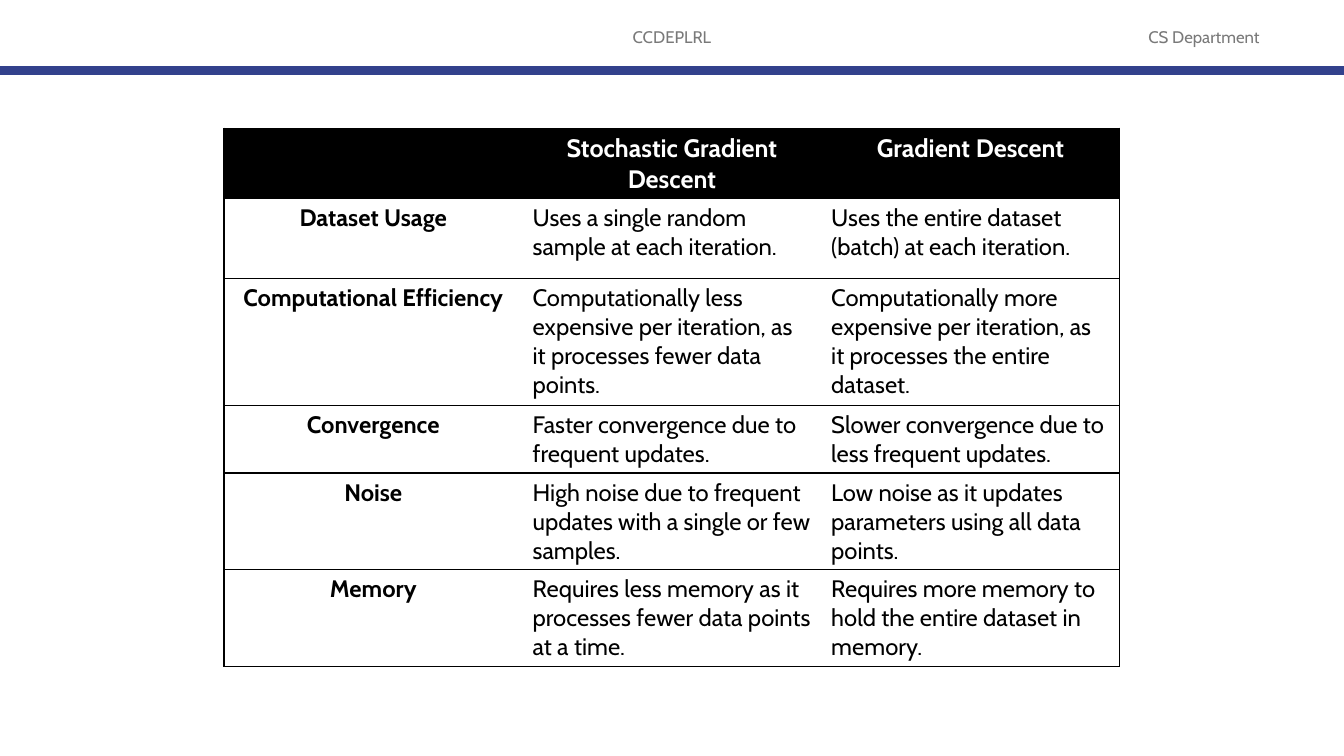
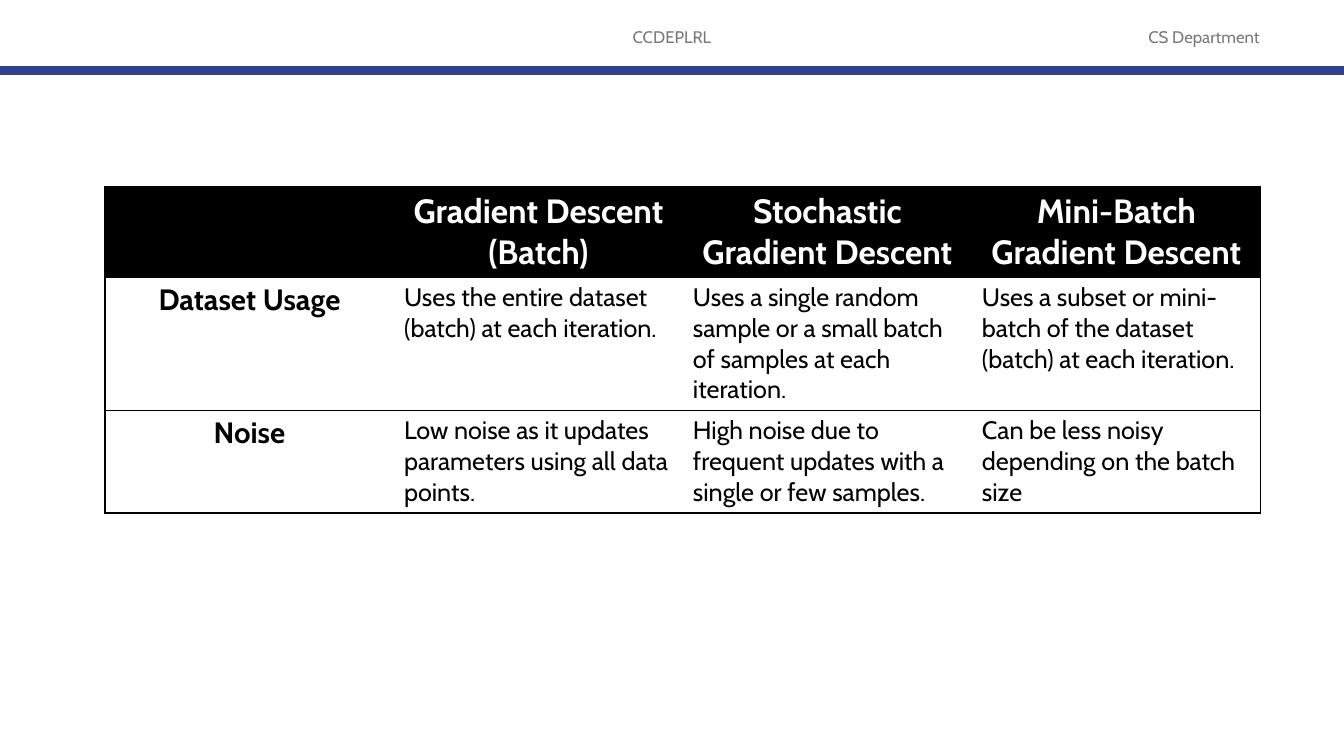
from lxml import etree
from pptx import Presentation
from pptx.dml.color import RGBColor
from pptx.enum.shapes import MSO_CONNECTOR
from pptx.enum.text import MSO_ANCHOR, PP_ALIGN
from pptx.oxml.ns import qn
from pptx.util import Pt

STRAIGHT = MSO_CONNECTOR.STRAIGHT
MIDDLE = MSO_ANCHOR.MIDDLE
CENTER, LEFT = PP_ALIGN.CENTER, PP_ALIGN.LEFT

FONT = "Cabin"
BLACK, WHITE, GRAY, BLUE = "000000", "FFFFFF", "797979", "32418C"
PAGE_WIDTH, PAGE_HEIGHT = 960, 540
RULE_TOP = 50.5

HEADINGS = [
    ("CCDEPLRL", 318, 324),
    ("CS Department", 786, 148),
]

TABLES = [
    {
        "left": 160, "top": 91.5, "column_width": 213.3,
        "row_heights": [50.5, 57, 90.5, 48.5, 69, 69],
        "header_size": 18, "label_size": 17, "body_size": 17,
        "rows": [
            ["", "Stochastic Gradient Descent", "Gradient Descent"],
            ["Dataset Usage",
             "Uses a single random sample at each iteration.",
             "Uses the entire dataset (batch) at each iteration."],
            ["Computational Efficiency",
             "Computationally less expensive per iteration, as it processes fewer data points.",
             "Computationally more expensive per iteration, as it processes the entire dataset."],
            ["Convergence",
             "Faster convergence due to frequent updates.",
             "Slower convergence due to less frequent updates."],
            ["Noise",
             "High noise due to frequent updates with a single or few samples.",
             "Low noise as it updates parameters using all data points."],
            ["Memory",
             "Requires less memory as it processes fewer data points at a time.",
             "Requires more memory to hold the entire dataset in memory."],
        ],
    },
    {
        "left": 75, "top": 133, "column_width": 206.4,
        "row_heights": [65, 95, 73.5],
        "header_size": 24, "label_size": 21, "body_size": 18,
        "rows": [
            ["", "Gradient Descent (Batch)", "Stochastic Gradient Descent",
             "Mini-Batch Gradient Descent"],
            ["Dataset Usage",
             "Uses the entire dataset (batch) at each iteration.",
             "Uses a single random sample or a small batch of samples at each iteration.",
             "Uses a subset or mini-batch of the dataset (batch) at each iteration."],
            ["Noise",
             "Low noise as it updates parameters using all data points.",
             "High noise due to frequent updates with a single or few samples.",
             "Can be less noisy depending on the batch size"],
        ],
    },
]


def color(value):
    return RGBColor.from_string(value)


def write(frame, text, size, ink, align, bold=False):
    para = frame.paragraphs[0]
    para.alignment = align
    span = para.add_run()
    span.text = text
    span.font.name = FONT
    span.font.size = Pt(size)
    span.font.bold = bold
    span.font.color.rgb = color(ink)


deck = Presentation()
deck.slide_width, deck.slide_height = Pt(PAGE_WIDTH), Pt(PAGE_HEIGHT)
blank = deck.slide_layouts[6]

for content in TABLES:
    page = deck.slides.add_slide(blank)

    for text, left, width in HEADINGS:
        box = page.shapes.add_textbox(Pt(left), Pt(12), Pt(width), Pt(29))
        box.text_frame.word_wrap = True
        box.text_frame.vertical_anchor = MIDDLE
        write(box.text_frame, text, 12, GRAY, CENTER)

    rule = page.shapes.add_connector(
        STRAIGHT, Pt(0), Pt(RULE_TOP), Pt(PAGE_WIDTH), Pt(RULE_TOP))
    rule.line.color.rgb = color(BLUE)
    rule.line.width = Pt(6)
    etree.SubElement(rule._element.spPr, qn("a:effectLst"))

    rows, heights = content["rows"], content["row_heights"]
    column_count = len(rows[0])
    table = page.shapes.add_table(
        len(rows), column_count, Pt(content["left"]), Pt(content["top"]),
        Pt(content["column_width"] * column_count), Pt(sum(heights))).table
    table.horz_banding = False
    for column in table.columns:
        column.width = Pt(content["column_width"])

    for row_index, texts in enumerate(rows):
        table.rows[row_index].height = Pt(heights[row_index])
        for column_index, text in enumerate(texts):
            cell = table.cell(row_index, column_index)
            borders = {
                "a:lnL": column_index == 0,
                "a:lnR": column_index == column_count - 1,
                "a:lnT": True,
                "a:lnB": True,
            }
            properties = cell._tc.get_or_add_tcPr()
            for tag, visible in borders.items():
                edge = etree.SubElement(properties, qn(tag), w=str(Pt(1)))
                if visible:
                    paint = etree.SubElement(edge, qn("a:solidFill"))
                    etree.SubElement(paint, qn("a:srgbClr"), val=BLACK)
                else:
                    etree.SubElement(edge, qn("a:noFill"))

            is_header, is_label = row_index == 0, column_index == 0
            cell.fill.solid()
            cell.fill.fore_color.rgb = color(BLACK if is_header else WHITE)
            if is_header:
                size, ink = content["header_size"], WHITE
            else:
                size, ink = content["label_size" if is_label else "body_size"], BLACK
            if text:
                strong = is_header or is_label
                write(cell.text_frame, text, size, ink, CENTER if strong else LEFT, strong)

deck.save("out.pptx")
